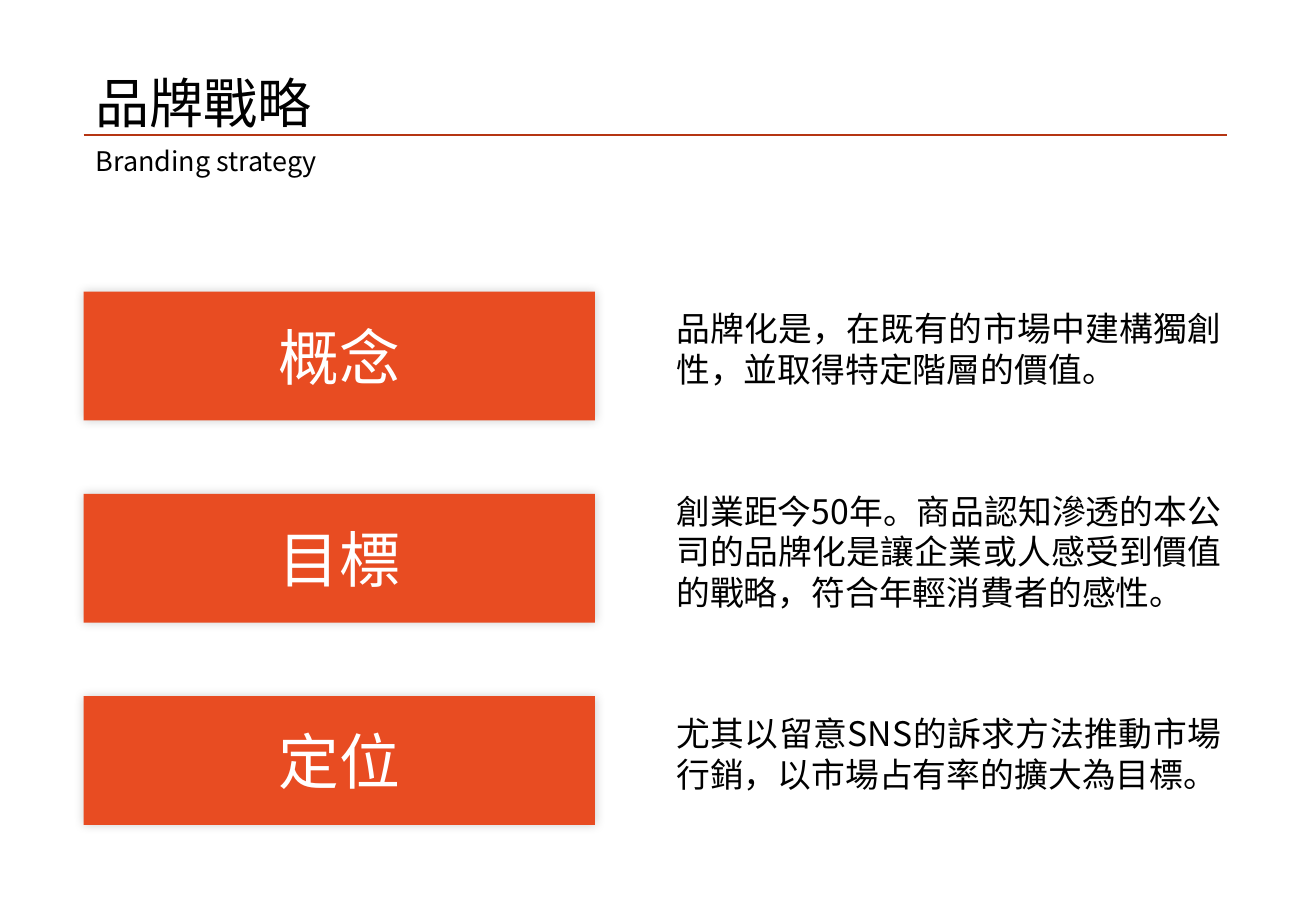
from dataclasses import dataclass

from lxml import etree
from pptx import Presentation
from pptx.dml.color import RGBColor
from pptx.enum.shapes import MSO_CONNECTOR, MSO_SHAPE
from pptx.enum.text import MSO_ANCHOR, PP_ALIGN
from pptx.oxml.ns import qn
from pptx.util import Cm, Pt

RECTANGLE = MSO_SHAPE.RECTANGLE
STRAIGHT = MSO_CONNECTOR.STRAIGHT
MIDDLE = MSO_ANCHOR.MIDDLE
LEFT, CENTER, JUSTIFY = PP_ALIGN.LEFT, PP_ALIGN.CENTER, PP_ALIGN.JUSTIFY

LEFT_EDGE = 1.75
FIRST_TOP = 6.1
ROW_PITCH = 4.23
STRATEGY = [
    ("概念", "品牌化是，在既有的市場中建構獨創性，並取得特定階層的價值。"),
    ("目標", "創業距今50年。商品認知滲透的本公司的品牌化是讓企業或人感受到價值的戰略，符合年輕消費者的感性。"),
    ("定位", "尤其以留意SNS的訴求方法推動市場行銷，以市場占有率的擴大為目標。"),
]


@dataclass(frozen=True)
class Theme:
    font: str = "Noto Sans CJK SC"
    accent: str = "E84C22"
    rule: str = "B53513"
    ink: str = "000000"
    paper: str = "FFFFFF"
    title_size: int = 32
    subtitle_size: int = 16
    label_size: int = 36
    body_size: int = 20
    body_gap: int = 60


class SlideBuilder:
    def __init__(self, slide, theme):
        self.shapes = slide.shapes
        self.theme = theme

    def fill_frame(self, frame, lines, size, color, align, gap=0):
        frame.word_wrap = True
        for index, line in enumerate(lines):
            para = frame.add_paragraph() if index else frame.paragraphs[0]
            para.text = line
            para.alignment = align
            if index < len(lines) - 1:
                para.space_after = Pt(gap)
            para.font.name = self.theme.font
            para.font.size = Pt(size)
            para.font.color.rgb = RGBColor.from_string(color)
            properties = para._p.pPr.find(qn("a:defRPr"))
            etree.SubElement(properties, qn("a:ea"), typeface=self.theme.font)

    def text(self, left, top, width, height, lines, size, align=LEFT, gap=0):
        box = self.shapes.add_textbox(Cm(left), Cm(top), Cm(width), Cm(height))
        self.fill_frame(box.text_frame, lines, size, self.theme.ink, align, gap)

    def label(self, left, top, width, height, caption):
        box = self.shapes.add_shape(RECTANGLE, Cm(left), Cm(top), Cm(width), Cm(height))
        box.fill.solid()
        box.fill.fore_color.rgb = RGBColor.from_string(self.theme.accent)
        box.line.fill.background()
        self.soft_shadow(box)
        box.text_frame.vertical_anchor = MIDDLE
        self.fill_frame(box.text_frame, [caption], self.theme.label_size, self.theme.paper, CENTER)

    def soft_shadow(self, box):
        box.shadow.inherit = False
        effects = box._element.spPr.find(qn("a:effectLst"))
        shadow = etree.SubElement(
            effects, qn("a:outerShdw"), blurRad=str(Pt(6)), dist="0", dir="18900000"
        )
        color = etree.SubElement(shadow, qn("a:srgbClr"), val=self.theme.ink)
        etree.SubElement(color, qn("a:alpha"), val="20000")

    def rule(self, left, right, top):
        line = self.shapes.add_connector(STRAIGHT, Cm(left), Cm(top), Cm(right), Cm(top))
        line.line.color.rgb = RGBColor.from_string(self.theme.rule)
        line.line.width = Pt(1.5)
        etree.SubElement(line._element.spPr, qn("a:effectLst"))


def main():
    deck = Presentation()
    deck.slide_width, deck.slide_height = Cm(27.51), Cm(19.05)
    theme = Theme()
    page = SlideBuilder(deck.slides.add_slide(deck.slide_layouts[6]), theme)

    page.text(LEFT_EDGE, 1.32, 12.78, 1.63, ["品牌戰略"], theme.title_size)
    page.text(LEFT_EDGE, 2.9, 9.47, 0.94, ["Branding strategy"], theme.subtitle_size)
    page.rule(LEFT_EDGE, 25.65, 2.82)

    for row, (caption, _) in enumerate(STRATEGY):
        page.label(LEFT_EDGE, FIRST_TOP + row * ROW_PITCH, 10.69, 2.69, caption)
    descriptions = [description for _, description in STRATEGY]
    page.text(13.89, 6.32, 11.89, 10.52, descriptions, theme.body_size, JUSTIFY, theme.body_gap)

    deck.save("out.pptx")


if __name__ == "__main__":
    main()
